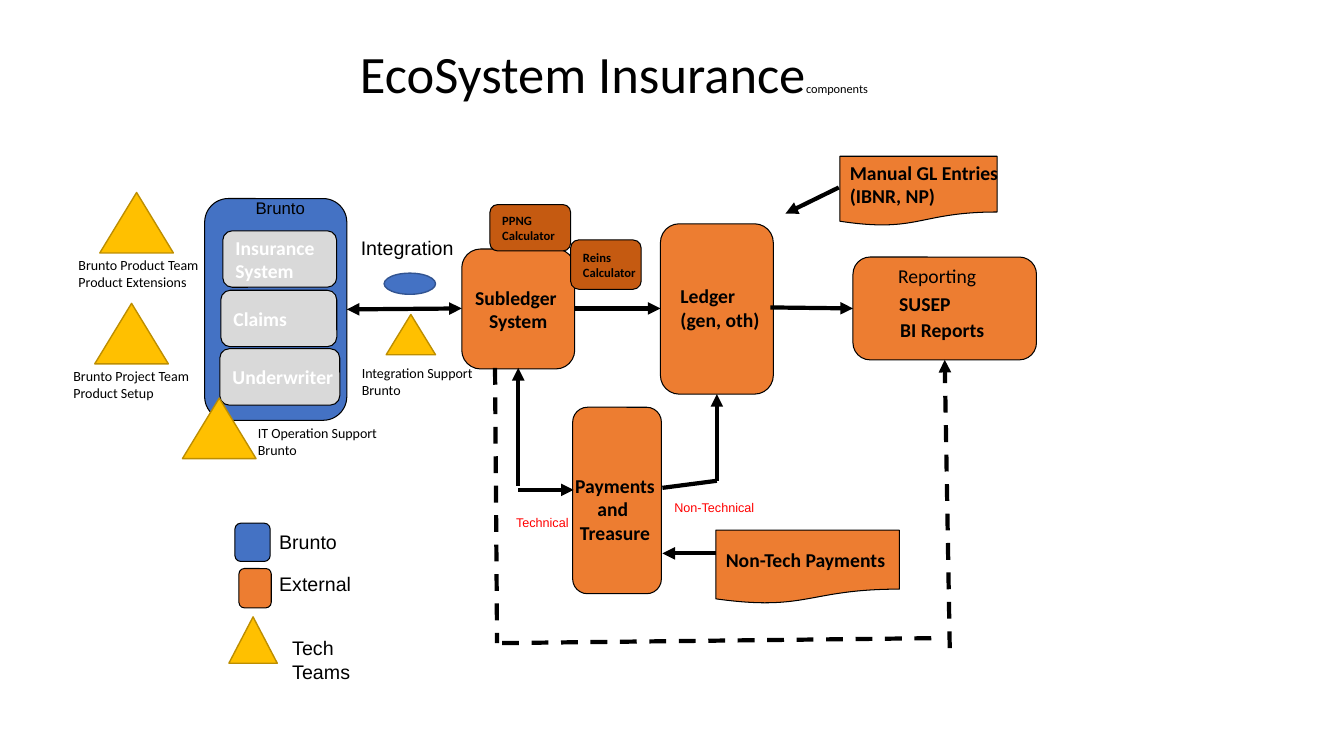
from dataclasses import dataclass
from lxml.etree import SubElement as Sub
from pptx import Presentation
from pptx.dml.color import RGBColor as Color
from pptx.enum.dml import MSO_LINE as Dash
from pptx.enum.shapes import MSO_CONNECTOR as Link, MSO_SHAPE as Form
from pptx.enum.text import MSO_ANCHOR as Anchor, PP_ALIGN as Align
from pptx.oxml.ns import qn
from pptx.util import Pt


@dataclass(frozen=True)
class Theme:
    black: str = "000000"
    white: str = "FFFFFF"
    red: str = "FF0000"
    blue: str = "4472C4"
    navy: str = "325491"
    orange: str = "ED7D31"
    rust: str = "C55A11"
    gray: str = "D9D9D9"
    gold: str = "FFC000"
    bronze: str = "BD8E00"
    sans: str = "Calibri"
    plain: str = "Arial"
    title: float = 37.5
    body: float = 14
    head: float = 12
    note: float = 10
    small: float = 9
    tiny: float = 8.8
    thin: float = 0.75
    edge: float = 1
    thick: float = 3


class Board:
    def __init__(self, slide, theme):
        self.slide = slide
        self.theme = theme

    def px(self, *nums):
        return [n * 9144 for n in nums]

    def run(self, para, text, size, font, color, bold=False):
        run = para.add_run()
        run.text = text
        run.font.size = Pt(size)
        run.font.name = font
        run.font.bold = bold
        run.font.color.rgb = Color.from_string(color)

    def fill_text(self, frame, paras, size, font, color, bold, center):
        for n, text in enumerate(paras):
            para = frame.add_paragraph() if n else frame.paragraphs[0]
            para.alignment = Align.CENTER if center else Align.LEFT
            for k, line in enumerate(text.split("\n")):
                if k:
                    para.add_line_break()
                self.run(para, line, size, font, color, bold)

    def shape(self, form, at, fill, line=None, width=None):
        t = self.theme
        item = self.slide.shapes.add_shape(form, *self.px(*at))
        item.shadow.inherit = False
        item.fill.solid()
        item.fill.fore_color.rgb = Color.from_string(fill)
        item.line.color.rgb = Color.from_string(line or t.black)
        item.line.width = Pt(width or t.thin)
        return item

    def box(self, at, fill, *paras, form=Form.ROUNDED_RECTANGLE, size=None, color=None, center=False):
        t = self.theme
        frame = self.shape(form, at, fill).text_frame
        frame.word_wrap = False
        frame.vertical_anchor = Anchor.MIDDLE
        self.fill_text(frame, paras, size or t.body, t.sans, color or t.black, True, center)

    def team(self, *at):
        t = self.theme
        self.shape(Form.ISOSCELES_TRIANGLE, at, t.gold, t.bronze, t.edge)

    def label(self, at, text, size=None, font=None, color=None, bold=False, center=False, wrap=True):
        t = self.theme
        frame = self.slide.shapes.add_textbox(*self.px(*at)).text_frame
        frame.word_wrap = wrap
        self.fill_text(frame, [text], size or t.body, font or t.sans, color or t.black, bold, center)

    def title(self, at, main, tail):
        t = self.theme
        frame = self.slide.shapes.add_textbox(*self.px(*at)).text_frame
        frame.word_wrap = True
        frame.margin_top = self.px(10)[0]
        para = frame.paragraphs[0]
        para.alignment = Align.CENTER
        para.line_spacing = 0.7
        self.run(para, main, t.title, t.sans, t.black)
        self.run(para, tail, t.tiny, t.sans, t.black)

    def line(self, start, end, ends=("tail",), dash=False):
        t = self.theme
        link = self.slide.shapes.add_connector(Link.STRAIGHT, *self.px(*start, *end))
        link.line.color.rgb = Color.from_string(t.black)
        link.line.width = Pt(t.thick)
        if dash:
            link.line.dash_style = Dash.DASH
        pen = link._element.spPr.find(qn("a:ln"))
        for side in ends:
            Sub(pen, qn(f"a:{side}End"), type="triangle")
        Sub(link._element.spPr, qn("a:effectLst"))


def main():
    deck = Presentation()
    deck.slide_width, deck.slide_height = 1333 * 9144, 750 * 9144
    t = Theme()
    b = Board(deck.slides.add_slide(deck.slide_layouts[6]), t)

    b.title((172, 48, 874, 76), "EcoSystem Insurance", "components")

    b.box((846, 255, 182, 102), t.orange)
    b.box((203, 197, 141, 220), t.blue)
    b.box((221, 229, 113, 56), t.gray, "Insurance \nSystem", color=t.white)
    b.box((219, 288, 115, 56), t.gray, "Claims", color=t.white)
    b.box((218, 346, 119, 56), t.gray, "Underwriter", color=t.white)
    b.box((655, 222, 112, 169), t.orange)
    b.box((458, 247, 112, 119), t.orange, "Subledger \nSystem", center=True)
    b.box((568, 404, 88, 185), t.orange)
    b.box((833, 155, 156, 69), t.orange, "Manual GL Entries", "(IBNR, NP)", form=Form.FLOWCHART_DOCUMENT)
    b.box((710, 526, 182, 73), t.orange, "Non-Tech Payments", form=Form.FLOWCHART_DOCUMENT)
    b.box((486, 203, 80, 46), t.rust, "PPNG \nCalculator", size=t.small)
    b.box((566, 238, 70, 49), t.rust, "Reins", "Calculator", size=t.small)
    b.box((233, 519, 35, 38), t.blue)
    b.box((237, 564, 32, 39), t.orange)
    b.shape(Form.OVAL, (381, 271, 51, 21), t.blue, t.navy, t.edge)

    both = ("head", "tail")
    b.line((570, 306), (655, 306))
    b.line((344, 307), (458, 306), both)
    b.line((764, 305), (846, 306))
    b.line((514, 486), (569, 486))
    b.line((514, 365), (514, 482), ("head",))
    b.line((657, 484), (711, 477), ())
    b.line((711, 391), (711, 477), ("head",))
    b.line((832, 186), (779, 212))
    b.line((710, 549), (657, 549))
    b.line((491, 365), (493, 638), (), True)
    b.line((498, 638), (935, 633), (), True)
    b.line((942, 643), (937, 357), dash=True)

    for left, top in ((181, 395), (99, 191), (94, 301)):
        b.team(left, top, 73, 60)
    b.team(383, 312, 49, 40)
    b.team(227, 612, 48, 46)

    b.label((207, 191, 142, 30), "Brunto", t.head, t.plain, center=True)
    b.label((348, 229, 131, 34), "Integration", font=t.plain)
    b.label((881, 257, 107, 34), "Reporting", wrap=False)
    b.label((882, 285, 72, 34), "SUSEP", bold=True, wrap=False)
    b.label((883, 310, 104, 34), "BI Reports", bold=True, wrap=False)
    b.label((665, 277, 99, 57), "Ledger \n(gen, oth)", bold=True, wrap=False)
    b.label((560, 465, 100, 81), "Payments\nand \nTreasure", bold=True, center=True, wrap=False)
    b.label((502, 506, 75, 25), "Technical", t.small, t.plain, t.red)
    b.label((659, 491, 110, 25), "Non-Technical", t.small, t.plain, t.red)
    b.label((267, 521, 83, 34), "Brunto", font=t.plain, wrap=False)
    b.label((267, 562, 92, 34), "External", font=t.plain, wrap=False)
    b.label((280, 626, 122, 34), "Tech Teams", font=t.plain)

    for left, top, high, text in (
        (246, 416, 44, "IT Operation Support Brunto"),
        (349, 357, 44, "Integration Support Brunto"),
        (68, 250, 61, "Brunto Product Team\nProduct Extensions"),
        (63, 360, 61, "Brunto Project Team\nProduct Setup"),
    ):
        b.label((left, top, 154, high), text, t.note)

    deck.save("out.pptx")


if __name__ == "__main__":
    main()
